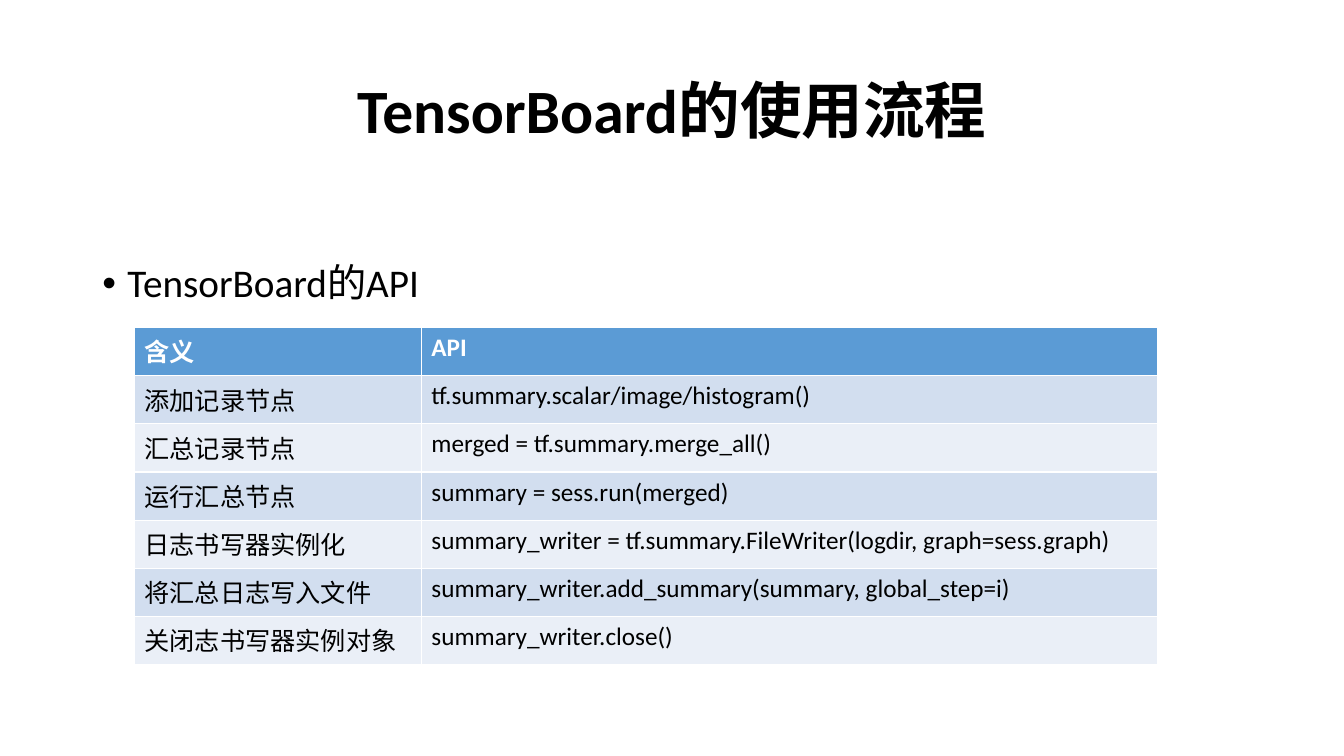
from pptx import Presentation
from pptx.dml.color import RGBColor
from pptx.enum.text import MSO_ANCHOR as ANCHOR, PP_ALIGN as ALIGN
from pptx.util import Pt
from lxml.etree import SubElement
from pptx.oxml.ns import qn

BLACK = RGBColor(0x00, 0x00, 0x00)
WHITE = RGBColor(0xFF, 0xFF, 0xFF)
HEADER_BLUE = RGBColor(0x5B, 0x9B, 0xD5)
BAND_DARK = RGBColor(0xD2, 0xDE, 0xEF)
BAND_LIGHT = RGBColor(0xEA, 0xEF, 0xF7)

API_ROWS = [
    ("含义", "API"),
    ("添加记录节点", "tf.summary.scalar/image/histogram()"),
    ("汇总记录节点", "merged = tf.summary.merge_all()"),
    ("运行汇总节点", "summary = sess.run(merged)"),
    ("日志书写器实例化", "summary_writer = tf.summary.FileWriter(logdir, graph=sess.graph)"),
    ("将汇总日志写入文件", "summary_writer.add_summary(summary, global_step=i)"),
    ("关闭志书写器实例对象", "summary_writer.close()"),
]
COLUMN_WIDTHS = (205, 525.6)
ROW_HEIGHT = 34.4


def add_run(paragraph, text, size, color=BLACK, bold=False):
    run = paragraph.add_run()
    run.text = text
    run.font.name = "Calibri"
    run.font.size = Pt(size)
    run.font.bold = bold
    run.font.color.rgb = color


def add_line(top, height, anchor):
    frame = slide.shapes.add_textbox(Pt(66), Pt(top), Pt(828), Pt(height)).text_frame
    frame.word_wrap = True
    frame.vertical_anchor = anchor
    paragraph = frame.paragraphs[0]
    paragraph.line_spacing = 0.9
    return paragraph


prs = Presentation()
prs.slide_width, prs.slide_height = Pt(960), Pt(540)
slide = prs.slides.add_slide(prs.slide_layouts[6])

# Title
title = add_line(28.8, 104.4, ANCHOR.MIDDLE)
title.alignment = ALIGN.CENTER
add_run(title, "TensorBoard的使用流程", 44, bold=True)

# Bullet above the table
bullet = add_line(185, 44, ANCHOR.TOP)
bullet_format = bullet._p.get_or_add_pPr()
bullet_format.set("marL", str(Pt(18)))
bullet_format.set("indent", str(Pt(-18)))
SubElement(bullet_format, qn("a:buFont")).set("typeface", "Arial")
SubElement(bullet_format, qn("a:buChar")).set("char", "•")
add_run(bullet, "TensorBoard的API", 28)

# API table: header row, then alternating bands
api_table = slide.shapes.add_table(
    len(API_ROWS), len(COLUMN_WIDTHS), Pt(96), Pt(234),
    Pt(sum(COLUMN_WIDTHS)), Pt(ROW_HEIGHT * len(API_ROWS))).table
for column, width in zip(api_table.columns, COLUMN_WIDTHS):
    column.width = Pt(width)
for r, entries in enumerate(API_ROWS):
    api_table.rows[r].height = Pt(ROW_HEIGHT)
    is_header = r == 0
    band = HEADER_BLUE if is_header else BAND_DARK if r % 2 else BAND_LIGHT
    for c, entry in enumerate(entries):
        cell = api_table.cell(r, c)
        cell.fill.solid()
        cell.fill.fore_color.rgb = band
        add_run(cell.text_frame.paragraphs[0], entry, 18,
                WHITE if is_header else BLACK, is_header)

prs.save("out.pptx")
